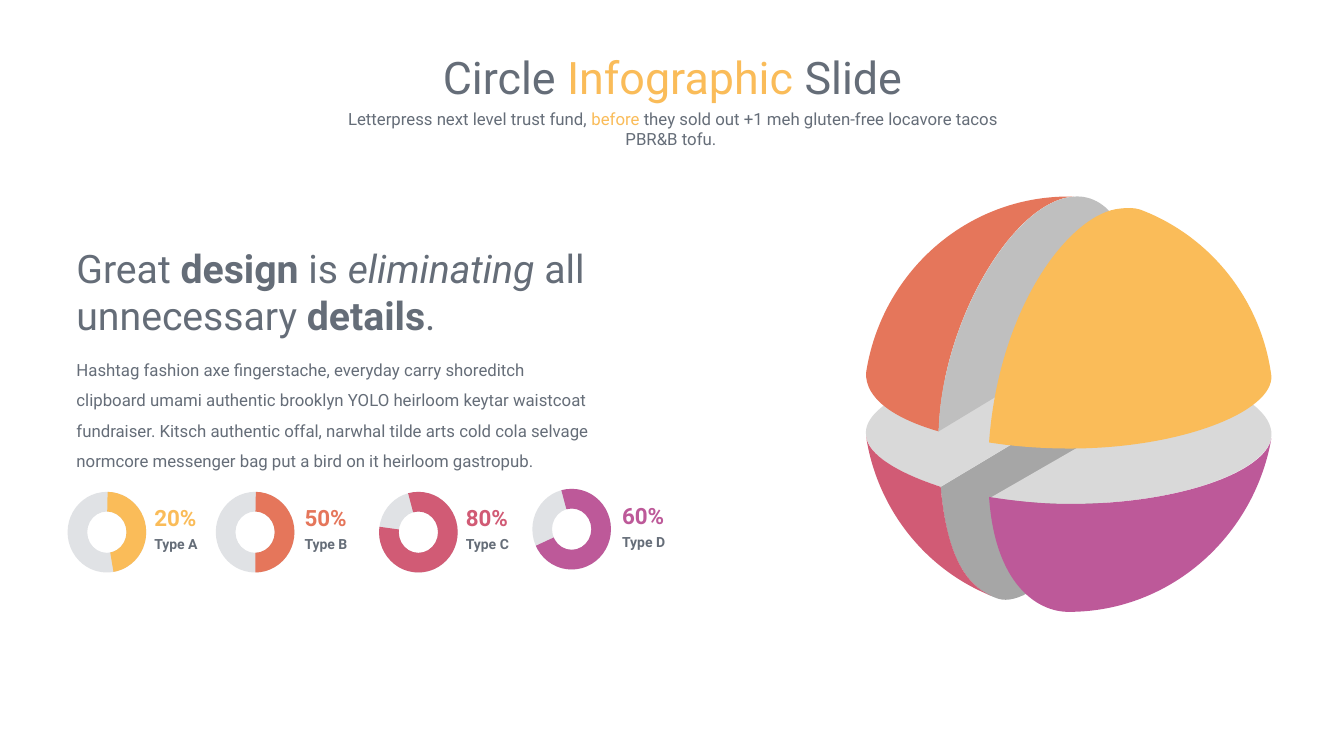
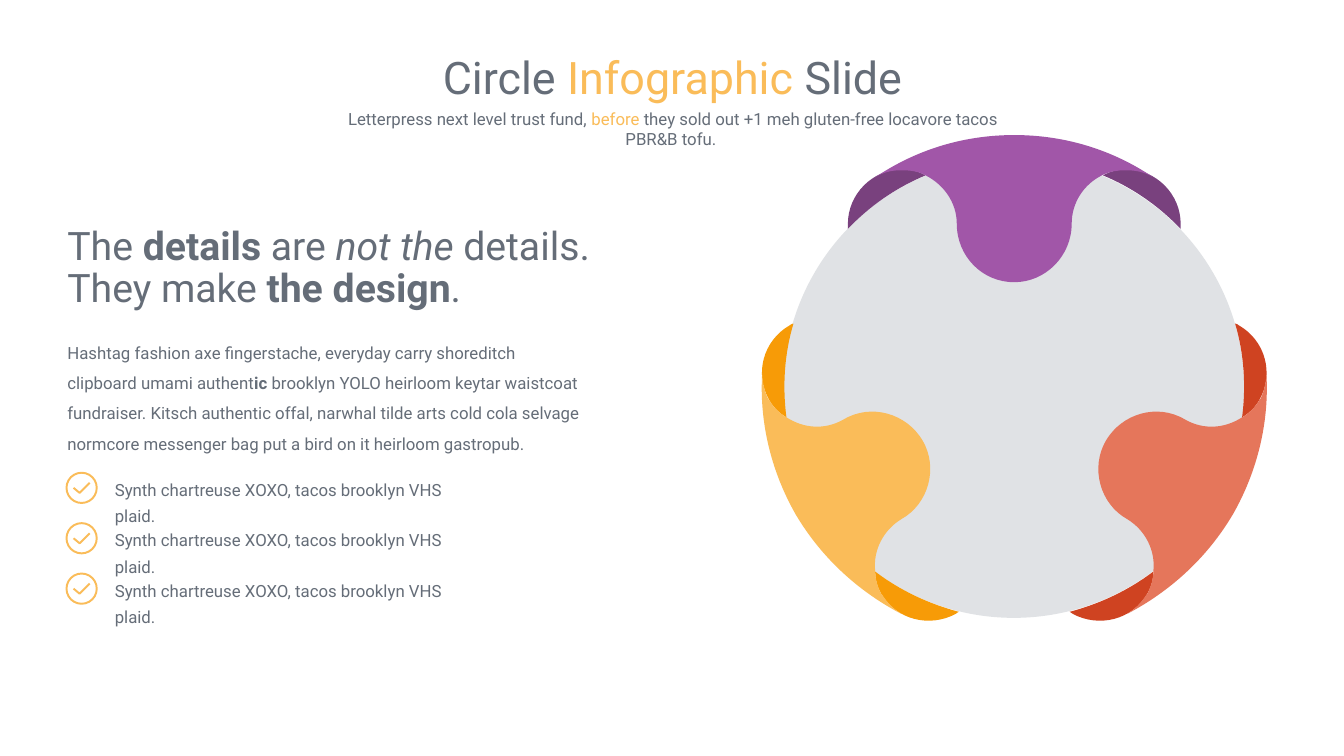
import lxml.etree
import pptx
import pptx.dml.color
import pptx.enum.shapes
import pptx.enum.text
import pptx.oxml.ns
import pptx.util
from pptx.util import Inches

RGBColor = pptx.dml.color.RGBColor
SHAPE = pptx.enum.shapes.MSO_SHAPE
ALIGN = pptx.enum.text.PP_ALIGN

# Colours
SLATE = RGBColor(0x65, 0x6D, 0x78)
AMBER = RGBColor(0xFA, 0xBC, 0x59)
DARK_AMBER = RGBColor(0xF7, 0x9B, 0x07)
CORAL = RGBColor(0xE5, 0x76, 0x5B)
DARK_CORAL = RGBColor(0xCF, 0x43, 0x21)
ROSE = RGBColor(0xD1, 0x5B, 0x75)
MAGENTA = RGBColor(0xBD, 0x59, 0x99)
PURPLE = RGBColor(0xA1, 0x56, 0xA8)
DARK_PURPLE = RGBColor(0x79, 0x41, 0x7E)
PALE_GREY = RGBColor(0xE0, 0xE2, 0xE5)
LIGHT_GREY = RGBColor(0xD9, 0xD9, 0xD9)
MID_GREY = RGBColor(0xBF, 0xBF, 0xBF)
DEEP_GREY = RGBColor(0xA6, 0xA6, 0xA6)
WHITE = RGBColor(0xFF, 0xFF, 0xFF)

# Text styles
FONT = "Roboto"
BOLD = {"bold": True}
ITALIC = {"italic": True}
ACCENT = {"color": AMBER}
BODY_PARTS = (
    "Hashtag fashion axe fingerstache, everyday carry shoreditch clipboard "
    "umami authent",
    "ic ",
    "brooklyn YOLO heirloom keytar waistcoat fundraiser. Kitsch authentic "
    "offal, narwhal tilde arts cold cola selvage normcore messenger bag put "
    "a bird on it heirloom gastropub.",
)

# Outlines: a start point, then three points for each Bézier curve
SPHERE_PARTS = [
    (DEEP_GREY, [
        (11.27, 3.97), (11.28, 3.86), (11.3, 3.75), (11.3, 3.65),
        (9.33, 4.83), (9.33, 4.83), (9.33, 4.83), (9.39, 5.57), (9.62, 5.85), (9.9, 5.94),
        (10.27, 6.06), (11.11, 5.17), (11.27, 3.97)]),
    (LIGHT_GREY, [
        (11.3, 3.65), (11.1, 3.62), (10.87, 3.61), (10.61, 3.61),
        (9.33, 3.61), (8.54, 4), (8.59, 4.32), (8.61, 4.51), (8.89, 4.69), (9.33, 4.83),
        (11.3, 3.65), (11.3, 3.65), (11.3, 3.65)]),
    (ROSE, [
        (9.33, 4.83), (8.9, 4.69), (8.61, 4.51), (8.59, 4.33),
        (8.7, 5.05), (9.18, 5.65), (9.83, 5.91), (9.58, 5.8), (9.39, 5.51), (9.33, 4.83)]),
    (LIGHT_GREY, [
        (12.61, 4.32), (12.62, 4.12), (12.37, 3.9), (11.87, 3.76),
        (9.82, 4.94), (9.82, 4.94), (9.82, 4.94), (10.06, 4.97), (10.33, 5), (10.61, 5),
        (11.72, 5), (12.59, 4.66), (12.61, 4.32)]),
    (MAGENTA, [
        (10.61, 5), (10.33, 5), (10.06, 4.97), (9.81, 4.93),
        (9.87, 5.8), (10.29, 6.07), (10.6, 6.07), (11.61, 6.07), (12.44, 5.32), (12.61, 4.35),
        (12.55, 4.68), (11.7, 5), (10.61, 5)]),
    (CORAL, [
        (10.6, 1.95), (9.58, 1.95), (8.74, 2.71), (8.59, 3.7),
        (8.58, 3.95), (8.86, 4.15), (9.31, 4.28), (9.34, 3.19), (10.05, 1.99), (10.65, 1.95),
        (10.63, 1.95), (10.62, 1.95), (10.6, 1.95)]),
    (MID_GREY, [
        (9.31, 4.28), (11.31, 3.07), (11.31, 3.07), (11.31, 3.07),
        (11.27, 2.35), (11.02, 1.93), (10.66, 1.95), (10.06, 1.98), (9.34, 3.19), (9.31, 4.28)]),
    (AMBER, [
        (12.61, 3.73), (12.51, 2.97), (12, 2.34), (11.31, 2.08),
        (11.25, 2.06), (11.18, 2.06), (11.11, 2.07), (10.63, 2.11), (9.91, 3.02), (9.81, 4.39),
        (10.06, 4.43), (10.34, 4.45), (10.61, 4.45), (11.72, 4.45), (12.63, 4.08), (12.61, 3.73)]),
]

# Left half of the wheel: left colour, right colour, outline
WHEEL_PARTS = [
    (DARK_AMBER, DARK_CORAL, [
        (7.87, 3.21), (7.86, 3.21), (7.84, 3.22), (7.83, 3.23),
        (7.57, 3.38), (7.48, 3.71), (7.63, 3.97), (7.67, 4.04), (7.73, 4.1), (7.8, 4.14),
        (7.76, 3.83), (7.78, 3.51), (7.87, 3.21)]),
    (DARK_AMBER, DARK_CORAL, [
        (8.68, 5.67), (8.68, 5.74), (8.7, 5.82), (8.74, 5.89),
        (8.89, 6.15), (9.22, 6.23), (9.48, 6.09), (9.49, 6.08), (9.51, 6.07), (9.51, 6.07),
        (9.21, 5.99), (8.93, 5.86), (8.68, 5.67)]),
    (AMBER, CORAL, [
        (7.89, 5.1), (8.15, 5.54), (8.52, 5.87), (8.94, 6.09),
        (8.86, 6.04), (8.8, 5.98), (8.75, 5.9), (8.74, 5.9), (8.74, 5.89), (8.74, 5.89),
        (8.7, 5.81), (8.68, 5.74), (8.68, 5.66), (8.66, 5.46), (8.76, 5.26), (8.94, 5.15),
        (9.21, 5), (9.31, 4.64), (9.15, 4.37), (8.99, 4.1), (8.64, 4), (8.37, 4.16),
        (8.18, 4.27), (7.97, 4.25), (7.8, 4.14), (7.73, 4.1), (7.67, 4.04), (7.63, 3.97),
        (7.63, 3.96), (7.63, 3.96), (7.62, 3.96), (7.58, 3.88), (7.56, 3.78), (7.56, 3.7),
        (7.53, 4.17), (7.64, 4.66), (7.89, 5.1)]),
    (DARK_PURPLE, DARK_PURPLE, [
        (9.18, 1.74), (9.11, 1.7), (9.03, 1.68), (8.95, 1.68),
        (8.65, 1.68), (8.41, 1.93), (8.41, 2.22), (8.41, 2.24), (8.41, 2.26), (8.41, 2.27),
        (8.63, 2.04), (8.89, 1.86), (9.18, 1.74)]),
]
WHEEL_AXIS = 10.06
WHEEL_CROWN = [
    (10.06, 1.34), (9.55, 1.34), (9.08, 1.49), (8.68, 1.76),
    (8.76, 1.71), (8.84, 1.69), (8.93, 1.69), (8.94, 1.69), (8.94, 1.69), (8.95, 1.69),
    (9.03, 1.69), (9.11, 1.7), (9.18, 1.74), (9.36, 1.83), (9.49, 2.01), (9.49, 2.22),
    (9.49, 2.54), (9.74, 2.8), (10.06, 2.8), (10.37, 2.8), (10.63, 2.54), (10.63, 2.22),
    (10.63, 2.01), (10.75, 1.83), (10.93, 1.74), (11.01, 1.7), (11.08, 1.69), (11.16, 1.69),
    (11.17, 1.69), (11.17, 1.69), (11.18, 1.69), (11.27, 1.69), (11.36, 1.71), (11.44, 1.76),
    (11.04, 1.49), (10.57, 1.34), (10.06, 1.34),
]

# Gauges: type, value, colour, ring left and top, label left and top, arc angles
GAUGES = [
    ("Type A", "20%", AMBER, 0.67, 4.88, 1.53, 5.03, 271.06, 80.55),
    ("Type B", "50%", CORAL, 2.14, 4.88, 3.02, 5.03, 271.06, 89.44),
    ("Type C", "80%", ROSE, 3.76, 4.88, 4.62, 5.03, 255.23, 187.88),
    ("Type D", "60%", MAGENTA, 5.28, 4.85, 6.17, 5.01, 255.23, 155.07),
]


def fill_text(shape, runs, size, spacing=1.0, align=ALIGN.LEFT):
    """Write one paragraph from (text, format) pairs."""
    frame = shape.text_frame
    frame.word_wrap = True
    frame.auto_size = pptx.enum.text.MSO_AUTO_SIZE.NONE
    frame.vertical_anchor = pptx.enum.text.MSO_ANCHOR.TOP
    paragraph = frame.paragraphs[0]
    paragraph.alignment = align
    paragraph.line_spacing = spacing
    for text, changes in runs:
        run = paragraph.add_run()
        run.text = text
        formats = {"name": FONT, "size": pptx.util.Pt(size), "bold": False,
                   "italic": False, "color": SLATE, **changes}
        run.font.color.rgb = formats.pop("color")
        for name, value in formats.items():
            setattr(run.font, name, value)


def add_text(slide, box, runs, size, inset=True, **style):
    shape = slide.shapes.add_textbox(*map(Inches, box))
    if not inset:
        for side in ("left", "top", "right", "bottom"):
            setattr(shape.text_frame, f"margin_{side}", 0)
    fill_text(shape, runs, size, **style)


def paint(shape, fill=None, line=None):
    shape.shadow.inherit = False
    if fill is None:
        shape.fill.background()
    else:
        shape.fill.solid()
        shape.fill.fore_color.rgb = fill
    if line is None:
        shape.line.fill.background()
    else:
        shape.line.color.rgb = line
        shape.line.width = pptx.util.Pt(1.38)


def add_preset(slide, kind, box, fill, line=None):
    shape = slide.shapes.add_shape(kind, *map(Inches, box))
    paint(shape, fill, line)
    return shape


def add_polyline(slide, points, close=False):
    corners = [(Inches(x), Inches(y)) for x, y in points]
    builder = slide.shapes.build_freeform(*corners[0])
    builder.add_line_segments(corners[1:], close=close)
    return builder.convert_to_shape()


def sample_curves(outline, steps=16):
    """Return points along the curves, which give the true extent."""
    points = [outline[0]]
    for first in range(0, len(outline) - 1, 3):
        curve = outline[first:first + 4]
        for t in (step / steps for step in range(1, steps + 1)):
            weights = ((1 - t) ** 3, 3 * t * (1 - t) ** 2, 3 * t ** 2 * (1 - t), t ** 3)
            points.append(tuple(
                sum(weight * point[axis] for weight, point in zip(weights, curve))
                for axis in (0, 1)))
    return points


def add_curved_shape(slide, outline, fill):
    shape = add_polyline(slide, sample_curves(outline), close=True)
    paint(shape, fill)
    # Swap the sampled segments for real Bézier curves
    geometry = shape.element.xpath(".//a:path")[0]
    for child in list(geometry):
        geometry.remove(child)
    qn = pptx.oxml.ns.qn
    segments = [("a:moveTo", outline[:1])]
    segments += [("a:cubicBezTo", outline[first:first + 3])
                 for first in range(1, len(outline), 3)]
    for tag, points in segments + [("a:close", [])]:
        segment = lxml.etree.SubElement(geometry, qn(tag))
        for x, y in points:
            lxml.etree.SubElement(segment, qn("a:pt"), x=str(Inches(x) - shape.left),
                                  y=str(Inches(y) - shape.top))


def add_gauge(slide, label, value, colour, left, top, label_left, label_top, start, end):
    ring = (left, top, 0.78, 0.8)
    add_preset(slide, SHAPE.DONUT, ring, PALE_GREY)
    arc = add_preset(slide, SHAPE.BLOCK_ARC, ring, colour)
    # Angles are stored in 60000ths of a degree, adjustments in 100000ths
    for index, setting in enumerate((start * 0.6, end * 0.6, 0.25)):
        arc.adjustments[index] = setting
    add_text(slide, (label_left, label_top, 0.49, 0.29),
             [(value, {"bold": True, "color": colour})], 16, inset=False, spacing=0.9)
    add_text(slide, (label_left, label_top + 0.3, 0.49, 0.23), [(label, BOLD)], 10,
             inset=False, spacing=0.9)


def add_check_item(slide, top, text):
    add_preset(slide, SHAPE.OVAL, (0.66, top, 0.3, 0.3), WHITE, AMBER)
    tick = add_polyline(slide, [(0.73, top + 0.15), (0.79, top + 0.2), (0.89, top + 0.1)])
    paint(tick, WHITE, AMBER)
    add_text(slide, (1.04, top - 0.04, 3.55, 0.34), [(text, {})], 12, spacing=1.3)


def add_titled_slide(presentation):
    slide = presentation.slides.add_slide(presentation.slide_layouts[5])
    title = slide.shapes.title
    box = {"left": 2.54, "top": 0.44, "width": 8.26, "height": 0.64}
    for name, value in box.items():
        setattr(title, name, Inches(value))
    fill_text(title, [("Circle ", {}), ("Infographic ", ACCENT), ("Slide", {})],
              32, align=ALIGN.CENTER)
    add_text(slide, (3.2, 1.03, 6.95, 0.3),
             [("Letterpress next level trust fund, ", {}), ("before", ACCENT),
              (" they sold out +1 meh gluten-free locavore tacos PBR&B tofu. ", {})],
             12, align=ALIGN.CENTER)
    return slide


def build_sphere_slide(presentation):
    slide = add_titled_slide(presentation)
    for colour, outline in SPHERE_PARTS:
        add_curved_shape(slide, outline, colour)
    add_text(slide, (0.66, 2.37, 5.46, 1.04),
             [("Great ", {}), ("design", BOLD), (" is ", {}), ("eliminating", ITALIC),
              (" all unnecessary ", {}), ("details", BOLD), (".", {})], 28)
    add_text(slide, (0.66, 3.42, 5.32, 1.31), [("".join(BODY_PARTS), {})], 12, spacing=1.5)
    for gauge in GAUGES:
        add_gauge(slide, *gauge)


def build_wheel_slide(presentation):
    slide = add_titled_slide(presentation)
    add_preset(slide, SHAPE.OVAL, (7.77, 1.57, 4.57, 4.56), PALE_GREY)
    for left_colour, right_colour, outline in WHEEL_PARTS:
        add_curved_shape(slide, outline, left_colour)
        mirrored = [(2 * WHEEL_AXIS - x, y) for x, y in outline]
        add_curved_shape(slide, mirrored, right_colour)
    add_curved_shape(slide, WHEEL_CROWN, PURPLE)
    add_text(slide, (0.57, 2.2, 5.46, 0.95),
             [("The ", {}), ("details", BOLD), (" are ", {}), ("not the ", ITALIC),
              ("details. They make ", {}), ("the design", BOLD), (".", {})], 28, spacing=0.9)
    add_text(slide, (0.57, 3.25, 5.32, 1.31),
             list(zip(BODY_PARTS, ({}, BOLD, {}))), 12, spacing=1.5)
    for row in range(3):
        add_check_item(slide, 4.69 + 0.5 * row,
                       "Synth chartreuse XOXO, tacos brooklyn VHS plaid.")


def main():
    presentation = pptx.Presentation()
    presentation.slide_width = Inches(13.33)
    presentation.slide_height = Inches(7.5)
    build_sphere_slide(presentation)
    build_wheel_slide(presentation)
    presentation.save("out.pptx")


if __name__ == "__main__":
    main()
